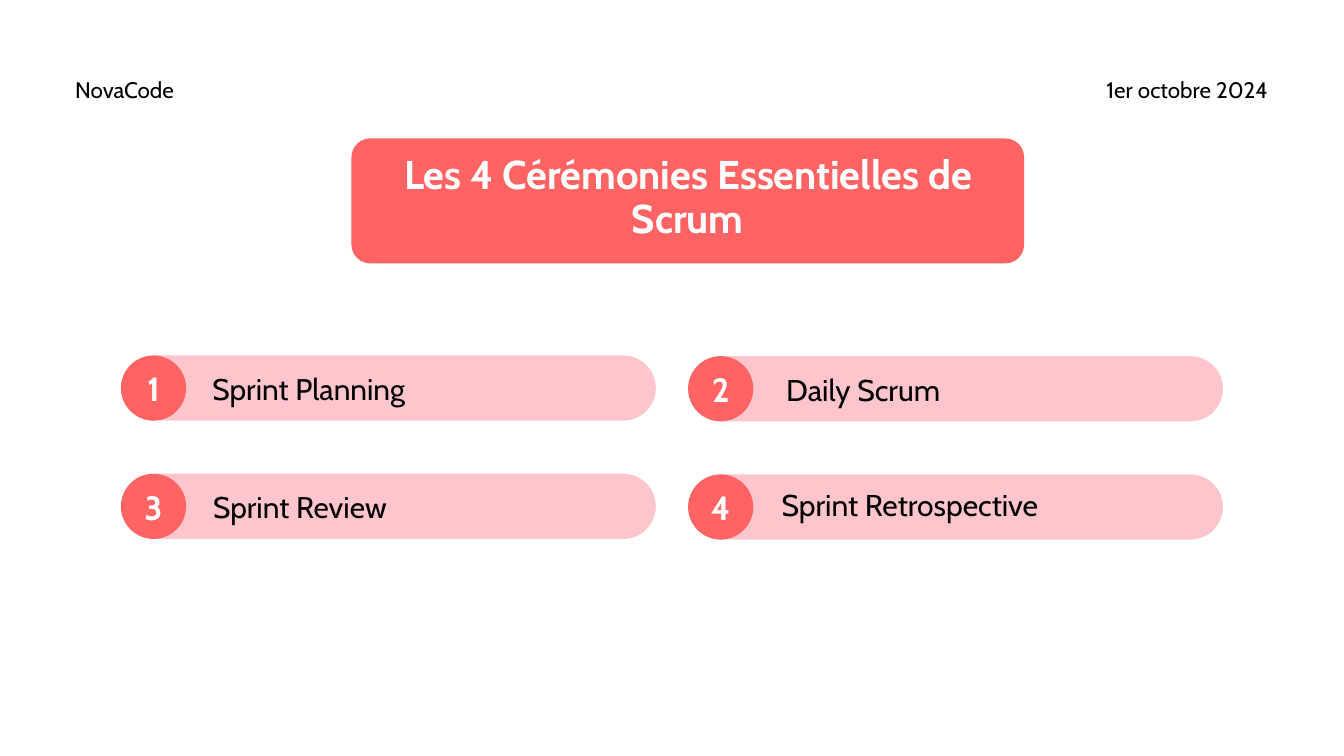
from pptx import Presentation
from pptx.dml.color import RGBColor
from pptx.enum.shapes import MSO_SHAPE as Shape
from pptx.enum.text import PP_ALIGN as Align
from pptx.util import Inches, Pt

# Content
HEADER = [("NovaCode", 1.12, Align.LEFT), ("1er octobre 2024", 14.57, Align.RIGHT)]
TITLE = "Les 4 Cérémonies Essentielles de Scrum"
# Name, label offset from the bar's corner, text size, line spacing
CEREMONIES = [
    ("Sprint Planning", 1.36, 0.13, 32, 44.8),
    ("Daily Scrum", 1.46, 0.14, 32.2, 45.1),
    ("Sprint Review", 1.37, 0.13, 32, 44.8),
    ("Sprint Retrospective", 1.39, 0.09, 32.2, 45.1),
]

# Style and grid
COLORS = {"coral": "FF6363", "pink": "FFC5CD", "white": "FFFFFF", "black": "000000"}
FONT = "Cabin"
WIDTH, HEIGHT = 20, 11.25
COLUMNS = 2
GRID_LEFT, GRID_TOP = 1.8, 5.29
COLUMN_STEP, ROW_STEP = 8.44, 1.76
RIGHT_COLUMN_DROP = 0.01
BAR_WIDTH, BAR_HEIGHT = 7.96, 0.97
NUMBER_WIDTH, NUMBER_HEIGHT, NUMBER_DROP = 0.47, 0.55, 0.24

deck = Presentation()
deck.slide_width, deck.slide_height = Inches(WIDTH), Inches(HEIGHT)
page = deck.slides.add_slide(deck.slide_layouts[6])


def add_block(kind, left, top, width, height, color, corner=None):
    block = page.shapes.add_shape(
        kind, Inches(left), Inches(top), Inches(width), Inches(height))
    block.shadow.inherit = False
    block.fill.solid()
    block.fill.fore_color.rgb = RGBColor.from_string(COLORS[color])
    block.line.fill.background()
    if corner is not None:
        block.adjustments[0] = corner


def add_text(text, left, top, width, height, size, spacing,
             color="black", align=Align.LEFT, bold=False):
    box = page.shapes.add_textbox(
        Inches(left), Inches(top), Inches(width), Inches(height))
    frame = box.text_frame
    frame.word_wrap = True
    frame.margin_left = frame.margin_right = 0
    frame.margin_top = frame.margin_bottom = 0
    para = frame.paragraphs[0]
    para.text = text
    para.alignment = align
    para.line_spacing = Pt(spacing)
    para.font.name = FONT
    para.font.size = Pt(size)
    para.font.bold = bold
    para.font.color.rgb = RGBColor.from_string(COLORS[color])


# Header
for text, left, align in HEADER:
    add_text(text, left, 1.07, 4.3, 0.44, 24, 33.6, align=align)

# Title banner
add_block(Shape.ROUNDED_RECTANGLE, 5.23, 2.06, 10.01, 1.86, "coral", 0.15)
add_text(TITLE, 5.72, 2.28, 9.03, 1.95, 43, 47.3, "white", Align.CENTER, True)

# Numbered ceremonies
for index, (name, offset_x, offset_y, size, spacing) in enumerate(CEREMONIES):
    row, column = divmod(index, COLUMNS)
    left = GRID_LEFT + column * COLUMN_STEP
    top = GRID_TOP + row * ROW_STEP + column * RIGHT_COLUMN_DROP
    add_block(Shape.ROUNDED_RECTANGLE, left, top, BAR_WIDTH, BAR_HEIGHT, "pink", 0.5)
    add_block(Shape.OVAL, left, top, BAR_HEIGHT, BAR_HEIGHT, "coral")
    add_text(name, left + offset_x, top + offset_y, 5.8, 0.62, size, spacing)
    add_text(str(index + 1), left + (BAR_HEIGHT - NUMBER_WIDTH) / 2, top + NUMBER_DROP,
             NUMBER_WIDTH, NUMBER_HEIGHT, 36, 39.6, "white", Align.CENTER, True)

deck.save("out.pptx")
